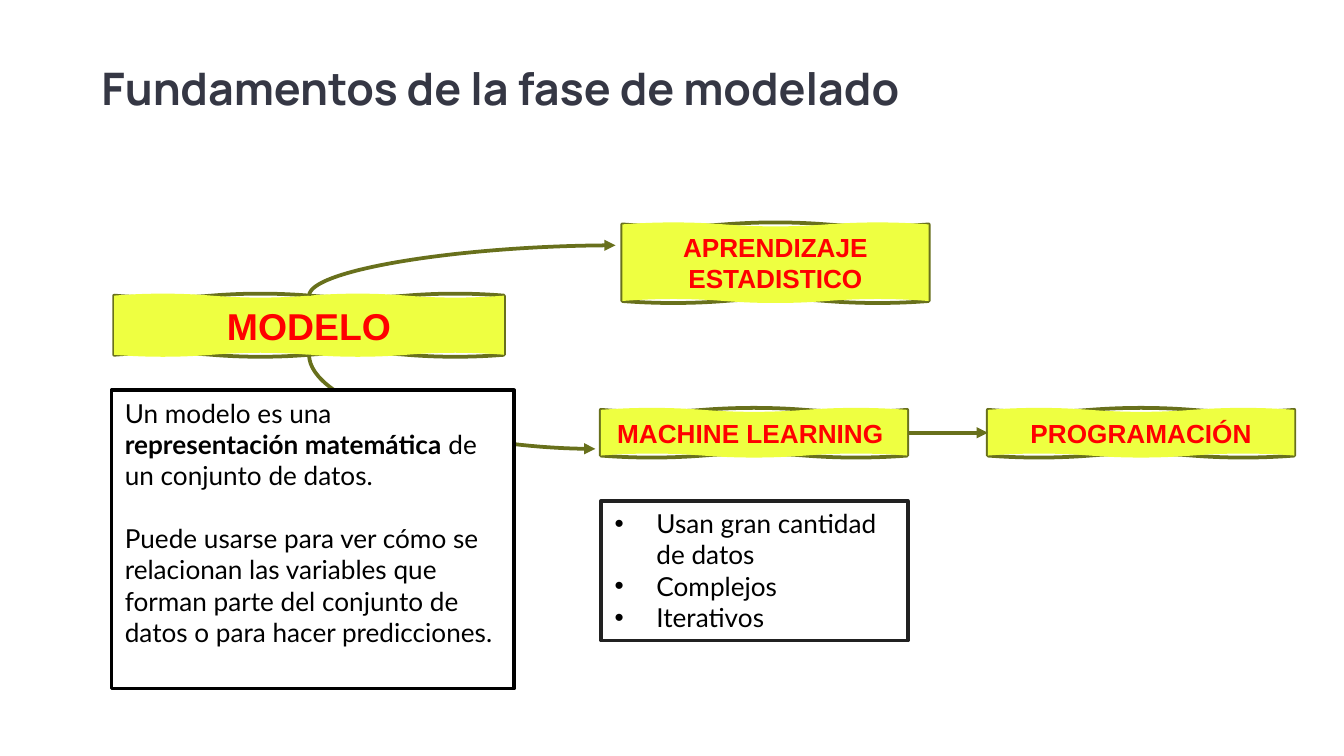
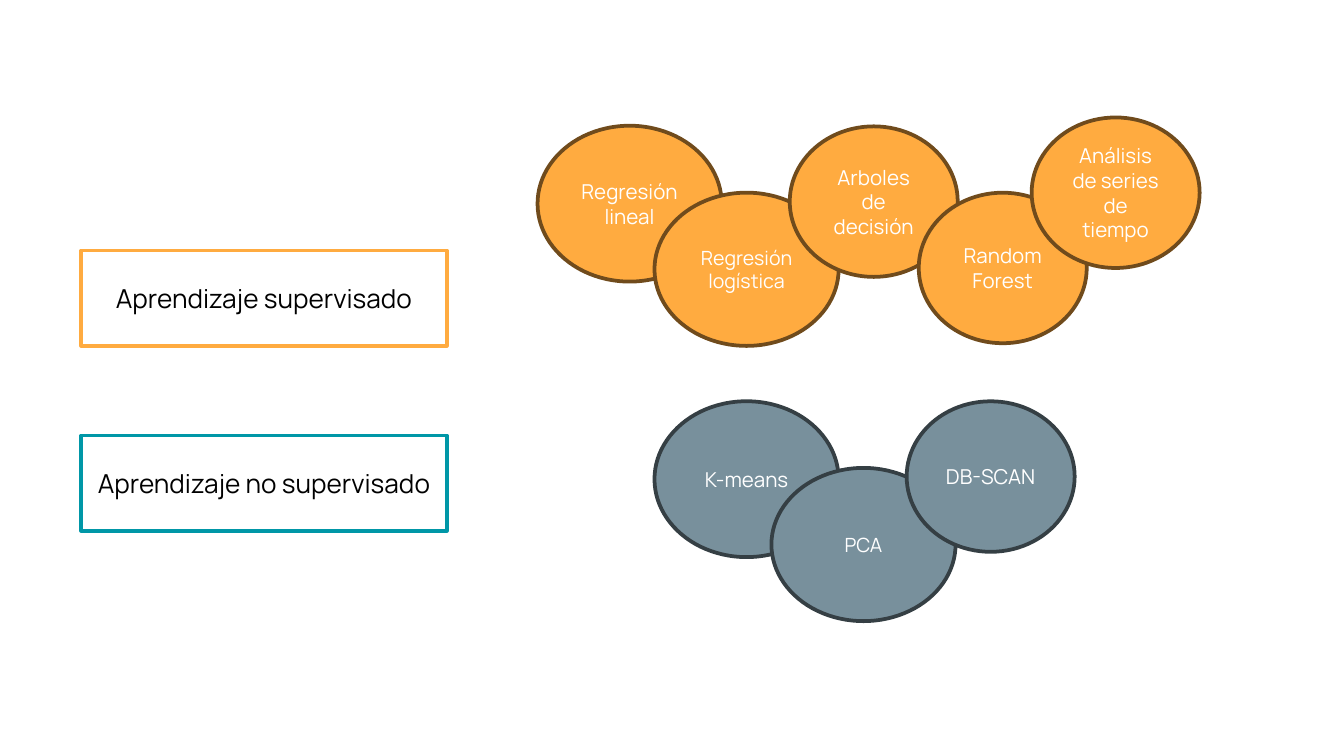
import pptx
import pptx.dml.color
import pptx.enum.shapes
import pptx.enum.text
import pptx.oxml.ns
import pptx.util
from lxml import etree

SHAPE = pptx.enum.shapes.MSO_SHAPE
LINK = pptx.enum.shapes.MSO_CONNECTOR
ALIGN = pptx.enum.text.PP_ALIGN
ANCHOR = pptx.enum.text.MSO_ANCHOR
qn = pptx.oxml.ns.qn

# The slide is a grid of 100 columns by 56.25 rows with square cells
WIDTH, HEIGHT = pptx.util.Inches(10), pptx.util.Inches(5.625)
CELL = WIDTH / 100


class Theme:
    # Colours
    title = "353744"
    black, white, dark = "000000", "FFFFFF", "212121"
    yellow, olive, red = "EEFF41", "68701C", "FF0000"
    orange, brown = "FFAB40", "704B1C"
    slate, coal, teal = "78909C", "353F44", "0097A7"
    # Fonts
    head, body, label = "Manrope", "Lato", "Arial"
    # Sizes in points
    big, key, text, small, tight = 24, 20, 14, 11, 10.5
    stroke = 2


def cells(*vals):
    """Turn grid cells into slide lengths."""
    return [pptx.util.Emu(round(v * CELL)) for v in vals]


def rgb(code):
    return pptx.dml.color.RGBColor.from_string(code)


def paint(shape, fill, line):
    shape.fill.solid()
    shape.fill.fore_color.rgb = rgb(fill)
    shape.line.color.rgb = rgb(line)
    shape.line.width = pptx.util.Pt(Theme.stroke)


def put(para, text, size, font, color, bold=False):
    """Add one run to a paragraph."""
    run = para.add_run()
    run.text = text
    run.font.size = pptx.util.Pt(size)
    run.font.name = font
    run.font.bold = bold
    run.font.color.rgb = rgb(color)


def place(shape, box):
    shape.left, shape.top, shape.width, shape.height = cells(*box)


def center(shape, text, size, font, color, bold=False):
    """Write one centred paragraph inside a shape."""
    frame = shape.text_frame
    frame.word_wrap = True
    frame.vertical_anchor = ANCHOR.MIDDLE
    para = frame.paragraphs[0]
    para.alignment = ALIGN.CENTER
    put(para, text, size, font, color, bold)


def solid(slide, kind, box, fill, line):
    """Add a filled and outlined preset shape."""
    shape = slide.shapes.add_shape(kind, *cells(*box))
    shape.shadow.inherit = False
    paint(shape, fill, line)
    return shape


def step(track, kind, *points):
    """Add one drawing command to a shape outline."""
    node = etree.SubElement(track, qn("a:" + kind))
    for point in points:
        x, y = cells(*point)
        etree.SubElement(node, qn("a:pt"), x=str(x), y=str(y))


def sketch(tracks, width, height, waves, swing, **look):
    """Trace a box whose top and bottom edges wave up and down."""
    w, h = cells(width, height)
    track = etree.SubElement(tracks, qn("a:path"), w=str(w), h=str(h), **look)
    pitch = width / waves
    step(track, "moveTo", (0, 0))
    for row, x, move in ((0, 0, pitch), (height, width, -pitch)):
        if row:
            step(track, "lnTo", (x, row))
        for i in range(waves):
            crest = row + swing * (-1) ** i
            step(track, "cubicBezTo", (x + move / 3, crest),
                 (x + move * 2 / 3, crest), (x + move, row))
            x += move
    step(track, "close")


def wavy(slide, box, text, size=Theme.text, waves=3):
    """Add a yellow label with a hand-drawn outline behind its fill."""
    left, top, width, height = box
    right, low = left + width, top + height
    form = slide.shapes.build_freeform(*cells(left, top))
    form.add_line_segments([cells(right, top), cells(right, low),
                            cells(left, low)], close=True)
    shape = form.convert_to_shape()
    tracks = next(shape._element.iter(qn("a:pathLst")))
    tracks.clear()
    sketch(tracks, width, height, waves, 0.2, fill="none")
    sketch(tracks, width, height, waves, -0.2, stroke="0")
    shape.shadow.inherit = False
    paint(shape, Theme.yellow, Theme.olive)
    center(shape, text, size, Theme.label, Theme.red, bold=True)


def arrow(slide, start, end, kind=LINK.STRAIGHT):
    """Add an olive connector with an arrowhead at its end."""
    link = slide.shapes.add_connector(kind, *cells(*start, *end))
    link.line.color.rgb = rgb(Theme.olive)
    link.line.width = pptx.util.Pt(Theme.stroke)
    props = link._element.spPr
    etree.SubElement(props.find(qn("a:ln")), qn("a:tailEnd"), type="triangle")
    etree.SubElement(props, qn("a:effectLst"))
    return link


def bend(slide, start, end):
    """Add a quarter curve that leaves vertically and arrives level."""
    (x0, y0), (x1, y1) = start, end
    midx, midy = (x0 + x1) / 2, (y0 + y1) / 2
    half, rise = (x1 - x0) / 2, abs(y1 - y0) / 2
    down = y1 > y0
    side = -half if down else half
    link = arrow(slide, (midx + rise, midy + side),
                 (midx - rise, midy - side), LINK.CURVE)
    props = link._element.spPr
    props.find(qn("a:prstGeom")).set("prst", "curvedConnector2")
    turn = 270 if down else 90
    props.find(qn("a:xfrm")).set("rot", str(turn * 60000))


def title(slide, text, box):
    shape = slide.shapes.title
    place(shape, box)
    frame = shape.text_frame
    frame.word_wrap = True
    frame.auto_size = pptx.enum.text.MSO_AUTO_SIZE.NONE
    frame.vertical_anchor = ANCHOR.TOP
    frame.margin_left = frame.margin_right = 0
    frame.margin_top = frame.margin_bottom = 0
    para = frame.paragraphs[0]
    para.alignment = ALIGN.LEFT
    para.line_spacing = 0.9
    put(para, text, Theme.big, Theme.head, Theme.title, bold=True)


def bullets(slide, items, box):
    """Format the body placeholder as a framed list."""
    shape = slide.placeholders[1]
    place(shape, box)
    paint(shape, Theme.white, Theme.dark)
    frame = shape.text_frame
    frame.auto_size = pptx.enum.text.MSO_AUTO_SIZE.NONE
    frame.vertical_anchor = ANCHOR.TOP
    indent = cells(3.1)[0]
    for i, item in enumerate(items):
        para = frame.add_paragraph() if i else frame.paragraphs[0]
        para.space_before = pptx.util.Pt(0)
        props = para._p.get_or_add_pPr()
        props.set("marL", str(indent))
        props.set("indent", str(-indent))
        tint = etree.SubElement(props, qn("a:buClr"))
        etree.SubElement(tint, qn("a:srgbClr"), val=Theme.black)
        etree.SubElement(props, qn("a:buFont"), typeface=Theme.label)
        etree.SubElement(props, qn("a:buChar"), char="•")
        put(para, item, Theme.text, Theme.body, Theme.black)


def prose(slide, paras, box):
    """Add a framed text; each paragraph is a list of (text, bold)."""
    shape = solid(slide, SHAPE.RECTANGLE, box, Theme.white, Theme.black)
    frame = shape.text_frame
    frame.word_wrap = True
    frame.vertical_anchor = ANCHOR.TOP
    for i, runs in enumerate(paras):
        para = frame.add_paragraph() if i else frame.paragraphs[0]
        para.alignment = ALIGN.LEFT
        para.space_before = pptx.util.Pt(16.8 if i else 0)
        for text, bold in runs:
            put(para, text, Theme.text, Theme.body, Theme.black, bold)


def group(slide, name, top, frame, fill, line, balls):
    """Add a framed family name and its overlapping method circles."""
    card = solid(slide, SHAPE.RECTANGLE, (6.05, top, 27.2, 7.1),
                 Theme.white, frame)
    center(card, name, Theme.text, Theme.head, Theme.black)
    for text, spot, span, size in balls:
        ball = solid(slide, SHAPE.OVAL, (*spot, *span), fill, line)
        center(ball, text, size, Theme.head, Theme.white)


def basics(deck):
    slide = deck.slides.add_slide(deck.slide_layouts[1])
    title(slide, "Fundamentos de la fase de modelado", (7.54, 5, 74.4, 4.3))
    bullets(slide, ["Usan gran cantidad de datos", "Complejos", "Iterativos"],
            (44.74, 37.26, 22.8, 10.4))

    # Model and its two branches
    wavy(slide, (8.5, 22, 29, 4.4), "MODELO", Theme.key, waves=4)
    bend(slide, (23, 26.4), (44.3, 33.4))
    bend(slide, (23, 22), (45.8, 18.26))
    wavy(slide, (46.3, 16.7, 22.8, 5.7), "APRENDIZAJE ESTADISTICO")
    wavy(slide, (44.7, 30.5, 22.8, 3.4), "MACHINE LEARNING ")
    wavy(slide, (73.5, 30.5, 22.8, 3.4), "PROGRAMACIÓN")
    arrow(slide, (67.6, 32.2), (73.5, 32.2))

    # Definition
    prose(slide, [
        [("Un modelo es una ", False),
         ("representación matemática", True),
         (" de un conjunto de datos.", False)],
        [("Puede usarse para ver cómo se relacionan las variables que "
          "forman parte del conjunto de datos o para hacer predicciones.",
          False)],
    ], (8.3, 29.04, 29.95, 22.2))


def methods(deck):
    slide = deck.slides.add_slide(deck.slide_layouts[6])
    wide, flat, slim = (13.7, 11.6), (13.7, 11.4), (12.5, 11.2)
    small, tight = Theme.small, Theme.tight
    group(slide, "Aprendizaje supervisado", 18.64,
          Theme.orange, Theme.orange, Theme.brown, [
              ("Regresión lineal", (40, 9.36), wide, small),
              ("Regresión logística", (48.7, 14.34), flat, tight),
              ("Arboles de decisión", (58.76, 9.4), slim, small),
              ("Random Forest", (68.36, 14.34), slim, small),
              ("Análisis de series de tiempo", (76.76, 8.74), slim, small),
          ])
    group(slide, "Aprendizaje no supervisado", 32.4,
          Theme.teal, Theme.slate, Theme.coal, [
              ("K-means", (48.7, 29.86), wide, small),
              ("PCA", (57.4, 34.82), flat, tight),
              ("DB-SCAN", (67.46, 29.86), slim, small),
          ])


def main():
    deck = pptx.Presentation()
    deck.slide_width, deck.slide_height = WIDTH, HEIGHT
    basics(deck)
    methods(deck)
    deck.save("out.pptx")


if __name__ == "__main__":
    main()
